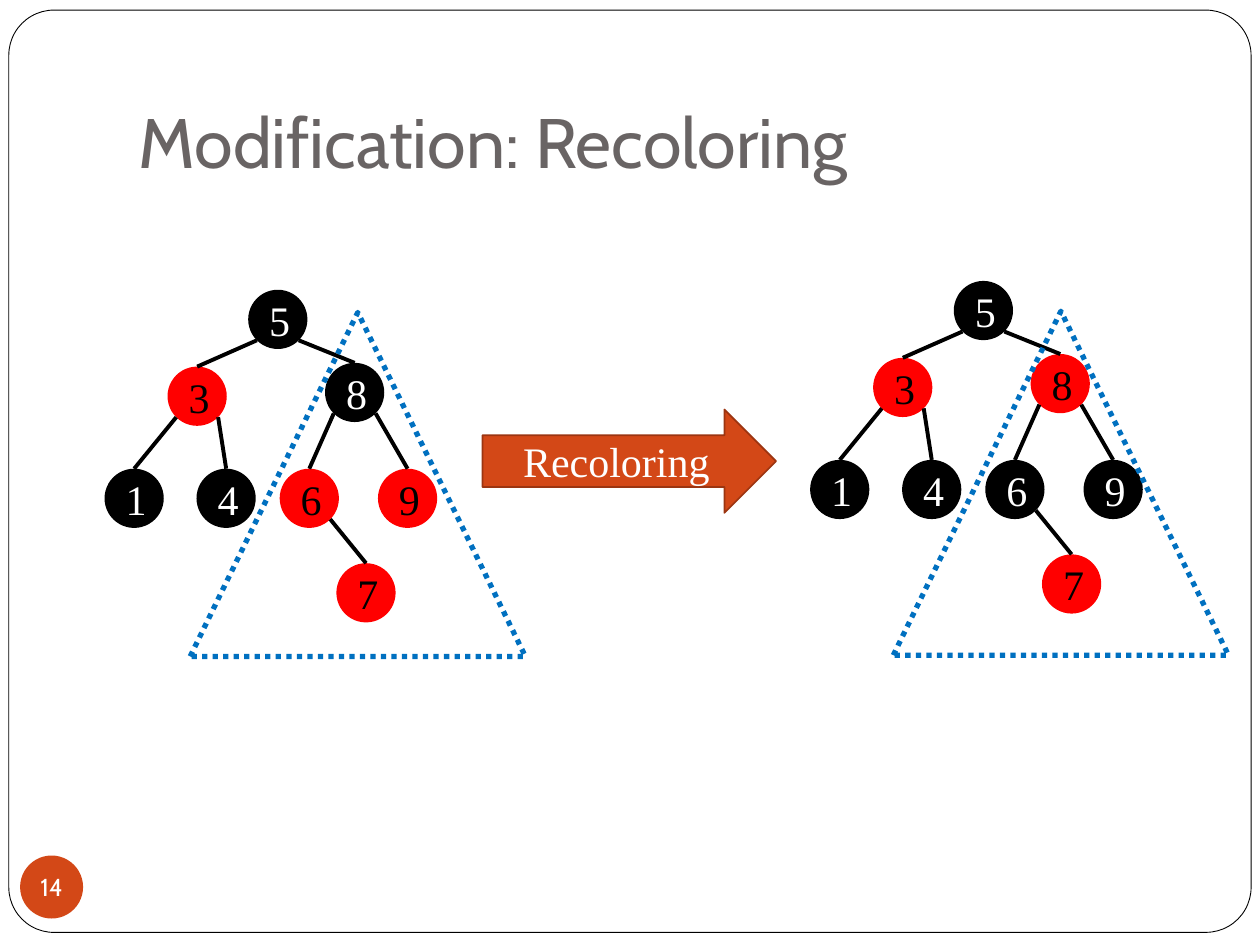
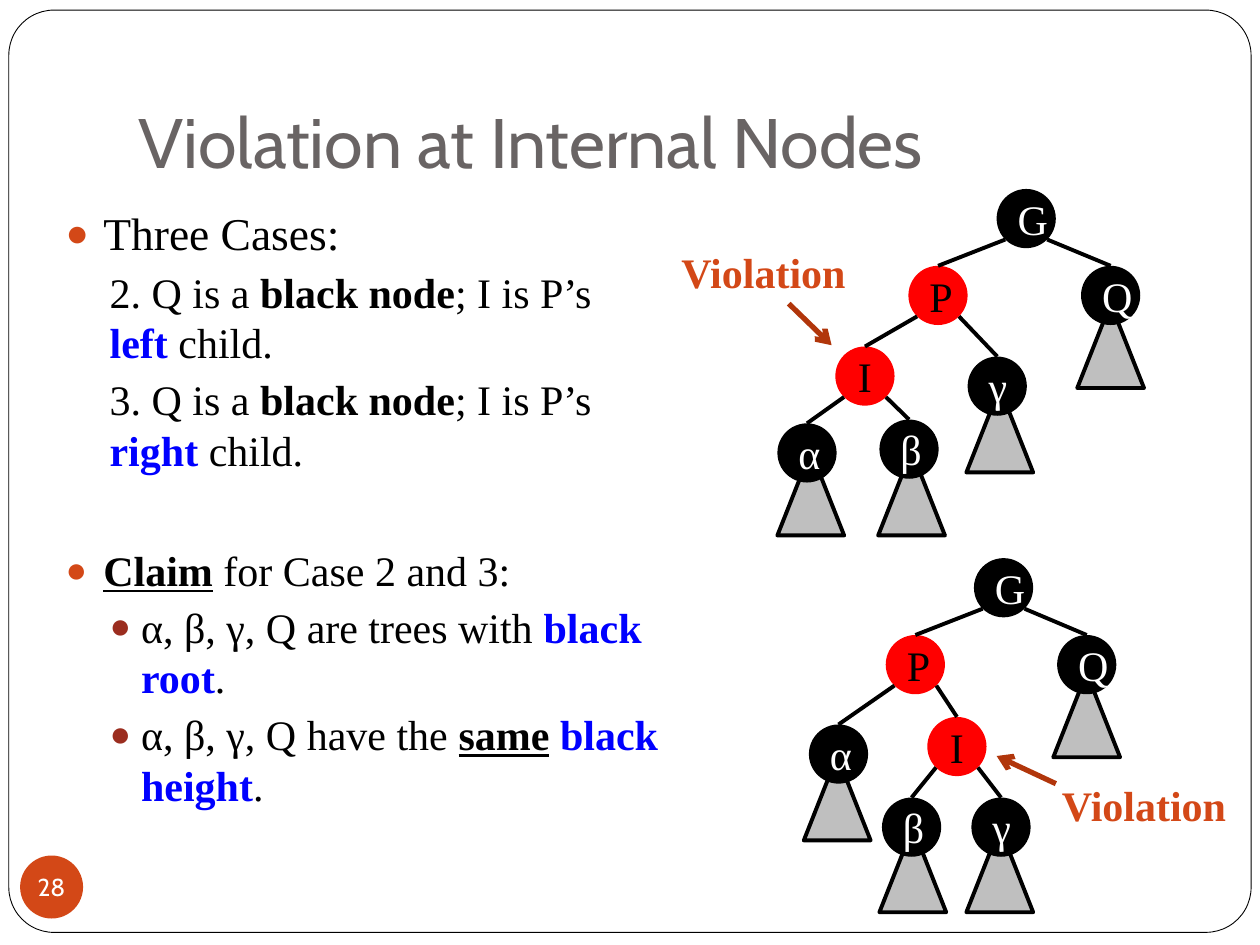
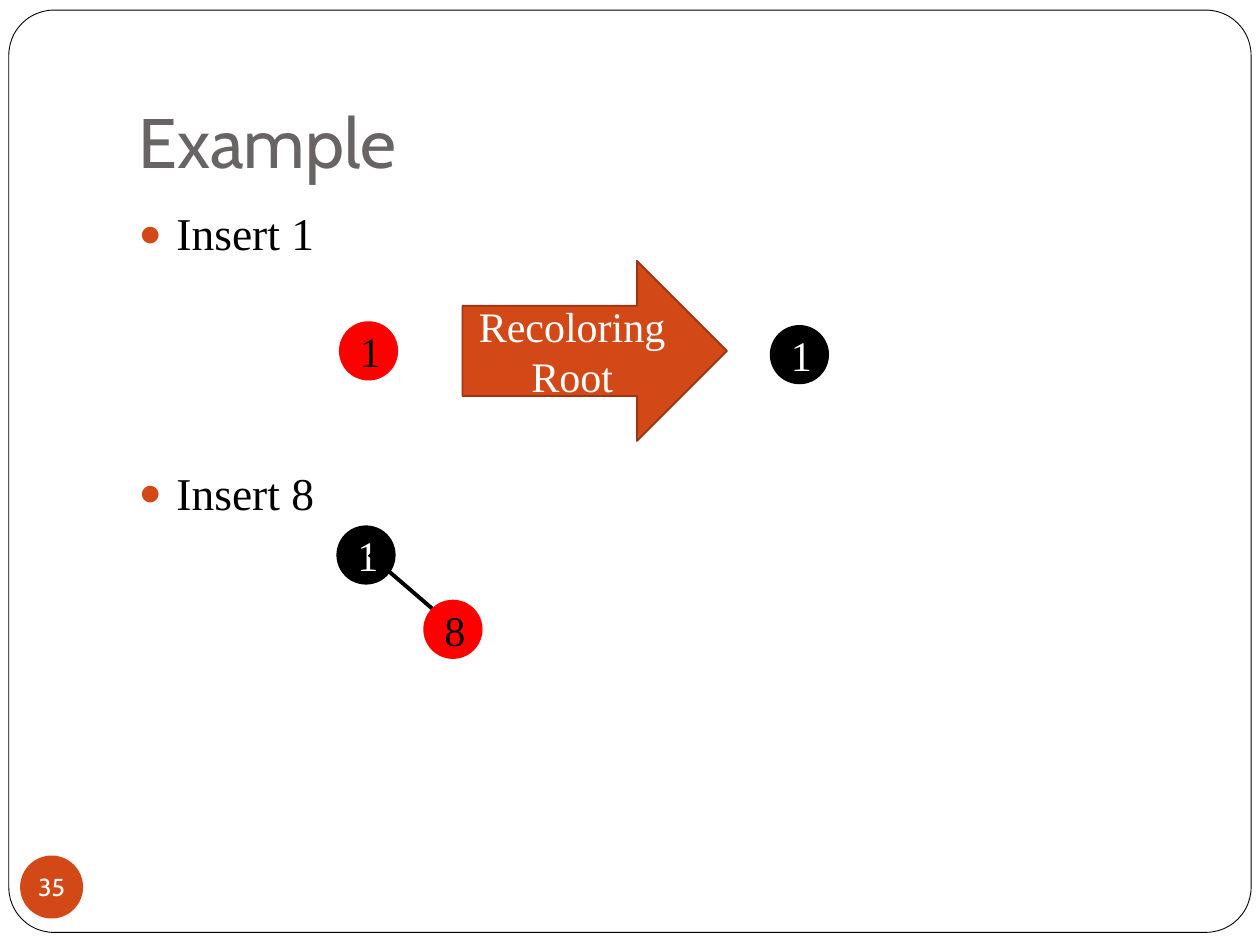
from dataclasses import dataclass
from math import sqrt
from typing import NamedTuple, Optional

from lxml import etree
from pptx import Presentation
from pptx.dml.color import RGBColor
from pptx.enum import dml, shapes, text
from pptx.oxml import ns
from pptx.shapes.autoshape import Shape
from pptx.shapes.connector import Connector
from pptx.slide import Slide
from pptx.util import Inches, Pt

# Shared look
BLACK = RGBColor(0x00, 0x00, 0x00)
WHITE = RGBColor(0xFF, 0xFF, 0xFF)
RED = RGBColor(0xFF, 0x00, 0x00)
BLUE = RGBColor(0x00, 0x00, 0xFF)
REGION_BLUE = RGBColor(0x00, 0x70, 0xC0)
GRAY = RGBColor(0xBF, 0xBF, 0xBF)
TITLE_GRAY = RGBColor(0x69, 0x64, 0x64)
ORANGE = RGBColor(0xD3, 0x48, 0x17)
ARROW_EDGE = RGBColor(0x9C, 0x35, 0x11)
POINTER = RGBColor(0xB1, 0x36, 0x0B)
BRICK = RGBColor(0x9B, 0x2D, 0x1F)
HEAD_FONT, BODY_FONT = "Cabin", "Times New Roman"
TITLE_ONLY, TITLE_AND_CONTENT = 5, 1
NODE_SIZE = 0.47
DIAGONAL = NODE_SIZE / 2 / sqrt(2)  # centre to a diagonal point of the circle


class Span(NamedTuple):
    words: str
    color: RGBColor = BLACK
    bold: bool = False
    underline: bool = False


class ItemStyle(NamedTuple):
    level: int
    margin: float
    indent: float
    size: int
    before: float
    bullet: Optional[RGBColor] = None


class Item(NamedTuple):
    style: ItemStyle
    spans: list[Span]
    before: Optional[float] = None


class Box(NamedTuple):
    left: float
    top: float
    width: float
    height: float

    def lengths(self) -> list[int]:
        return [Inches(side) for side in self]


@dataclass(frozen=True)
class Node:
    label: str
    left: float
    top: float
    parent: str = ""
    side: int = 0  # -1 left child, 1 right child
    subtree: Optional[tuple[float, float]] = None  # triangle's offset

    @property
    def center(self) -> tuple[float, float]:
        return self.left + NODE_SIZE / 2, self.top + NODE_SIZE / 2


HEADING = ItemStyle(0, 0.3, -0.3, 26, 5.8, ORANGE)
CASE = ItemStyle(1, 0.35, 0, 24, 3.7)
CLAIM = ItemStyle(1, 0.3, -0.3, 24, 5.8, ORANGE)
POINT = ItemStyle(1, 0.6, -0.25, 24, 3.7, BRICK)


# Basic pieces
def add_run(paragraph, span: Span, size: int, font: str = BODY_FONT) -> None:
    run = paragraph.add_run()
    run.text = span.words
    run.font.name, run.font.size = font, Pt(size)
    run.font.bold, run.font.underline = span.bold, span.underline
    run.font.color.rgb = span.color


def add_figure(slide: Slide, kind: shapes.MSO_SHAPE, box: Box,
               fill: Optional[RGBColor] = None, edge: Optional[RGBColor] = None,
               weight: float = 1) -> Shape:
    figure = slide.shapes.add_shape(kind, *box.lengths())
    figure.shadow.inherit = False
    if fill is None:
        figure.fill.background()
    else:
        figure.fill.solid()
        figure.fill.fore_color.rgb = fill
    if edge is None:
        figure.line.fill.background()
    else:
        figure.line.color.rgb = edge
        figure.line.width = Pt(weight)
    return figure


def add_line(slide: Slide, start: tuple[float, float], end: tuple[float, float],
             color: RGBColor = BLACK, weight: float = 2.25) -> Connector:
    line = slide.shapes.add_connector(
        shapes.MSO_CONNECTOR.STRAIGHT, *(Inches(n) for n in (*start, *end)))
    line.line.color.rgb = color
    line.line.width = Pt(weight)
    etree.SubElement(line._element.spPr, ns.qn("a:effectLst"))
    return line


# Slide furniture
def add_frame(deck, slide: Slide) -> None:
    """Place the rounded border on the master, behind everything."""
    frame = add_figure(slide, shapes.MSO_SHAPE.ROUNDED_RECTANGLE,
                       Box(0.07, 0.08, 9.86, 7.32), WHITE, BLACK, 0.5)
    frame.adjustments[0] = 0.049
    deck.slide_master.shapes._spTree.insert(2, frame._element)


def add_slide(deck, layout: int, heading: str, number: int) -> Slide:
    slide = deck.slides.add_slide(deck.slide_layouts[layout])
    title = slide.shapes.title
    title.left, title.top, title.width, title.height = Box(1, 0.3, 8.5, 1.25).lengths()
    frame = title.text_frame
    frame.auto_size = text.MSO_AUTO_SIZE.NONE
    frame.vertical_anchor = text.MSO_ANCHOR.BOTTOM
    frame.margin_bottom = Inches(0.1)
    frame.paragraphs[0].alignment = text.PP_ALIGN.LEFT
    add_run(frame.paragraphs[0], Span(heading, TITLE_GRAY), 40, HEAD_FONT)

    badge = add_figure(slide, shapes.MSO_SHAPE.OVAL, Box(0.16, 6.79, 0.5, 0.5), ORANGE)
    frame = badge.text_frame
    frame.margin_left = frame.margin_right = frame.margin_top = frame.margin_bottom = 0
    frame.word_wrap = False
    add_run(frame.paragraphs[0], Span(str(number), WHITE), 14, HEAD_FONT)
    return slide


def set_bullet(paragraph, style: ItemStyle) -> None:
    props = paragraph._p.get_or_add_pPr()
    props.set("marL", str(Inches(style.margin)))
    props.set("indent", str(Inches(style.indent)))
    if style.bullet is None:
        etree.SubElement(props, ns.qn("a:buNone"))
        return
    color = etree.SubElement(props, ns.qn("a:buClr"))
    etree.SubElement(color, ns.qn("a:srgbClr"), val=str(style.bullet))
    etree.SubElement(props, ns.qn("a:buSzPct"), val="85000")
    etree.SubElement(props, ns.qn("a:buChar"), char="●")


def fill_body(slide: Slide, box: Box, items: list[Item]) -> None:
    body = slide.placeholders[1]
    body.left, body.top, body.width, body.height = box.lengths()
    frame = body.text_frame
    frame.auto_size = text.MSO_AUTO_SIZE.NONE
    for index, item in enumerate(items):
        paragraph = frame.add_paragraph() if index else frame.paragraphs[0]
        paragraph.level = item.style.level
        paragraph.space_before = Pt(item.before or item.style.before)
        set_bullet(paragraph, item.style)
        for span in item.spans:
            add_run(paragraph, span, item.style.size)


# Tree parts
def add_node(slide: Slide, node: Node, red: bool = False) -> Shape:
    if node.subtree:
        dx, dy = node.subtree
        add_figure(slide, shapes.MSO_SHAPE.ISOSCELES_TRIANGLE,
                   Box(node.left + dx, node.top + dy, 0.53, 0.67), GRAY, BLACK, 2.25)
    circle = add_figure(slide, shapes.MSO_SHAPE.OVAL,
                        Box(node.left, node.top, NODE_SIZE, NODE_SIZE),
                        RED if red else BLACK)
    add_run(circle.text_frame.paragraphs[0],
            Span(node.label, BLACK if red else WHITE), 24)
    return circle


def add_tree(slide: Slide, nodes: list[Node], reds: str,
             dx: float = 0, dy: float = 0) -> None:
    placed: dict[str, Node] = {}
    for base in nodes:
        node = Node(base.label, base.left + dx, base.top + dy,
                    base.parent, base.side, base.subtree)
        placed[node.label] = node
        circle = add_node(slide, node, node.label in reds)
        if node.parent:
            x, y = placed[node.parent].center
            edge = add_line(slide, (x + node.side * DIAGONAL, y + DIAGONAL),
                            (node.center[0], node.top))
            edge.end_connect(circle, 0)


def add_region(slide: Slide, left: float, top: float) -> None:
    region = add_figure(slide, shapes.MSO_SHAPE.ISOSCELES_TRIANGLE,
                        Box(left, top, 2.66, 2.73), None, REGION_BLUE, 3)
    region.line.dash_style = dml.MSO_LINE.ROUND_DOT


def add_step(slide: Slide, box: Box, lines: list[str]) -> None:
    step = add_figure(slide, shapes.MSO_SHAPE.RIGHT_ARROW, box, ORANGE, ARROW_EDGE)
    paragraph = step.text_frame.paragraphs[0]
    for index, words in enumerate(lines):
        if index:
            paragraph.add_line_break()
        add_run(paragraph, Span(words, WHITE), 24)


def add_violation(slide: Slide, left: float, top: float,
                  start: tuple[float, float], end: tuple[float, float]) -> None:
    pointer = add_line(slide, start, end, POINTER, 3)
    etree.SubElement(pointer.line._get_or_add_ln(), ns.qn("a:tailEnd"), type="arrow")
    caption = slide.shapes.add_textbox(*Box(left, top, 1.52, 0.5).lengths())
    caption.text_frame.word_wrap = False
    caption.text_frame.auto_size = text.MSO_AUTO_SIZE.SHAPE_TO_FIT_TEXT
    add_run(caption.text_frame.paragraphs[0], Span("Violation", ORANGE, bold=True), 24)


# Content
NUMBER_TREE = [
    Node("5", 1.97, 2.3),
    Node("3", 1.33, 2.91, "5", -1),
    Node("8", 2.58, 2.88, "5", 1),
    Node("4", 1.56, 3.72, "3", 1),
    Node("1", 0.83, 3.72, "3", -1),
    Node("9", 3, 3.72, "8", 1),
    Node("6", 2.22, 3.72, "8", -1),
    Node("7", 2.67, 4.47, "6", 1),
]
LEFT_CHILD_TREE = [
    Node("G", 7.91, 1.5),
    Node("Q", 8.58, 2.11, "G", 1, (-0.03, 0.3)),
    Node("P", 7.21, 2.11, "G", -1),
    Node("I", 6.63, 2.75, "P", -1),
    Node("α", 6.17, 3.36, "I", -1, (0, 0.22)),
    Node("β", 6.98, 3.33, "I", 1, (-0.01, 0.25)),
    Node("γ", 7.68, 2.83, "P", 1, (-0.01, 0.25)),
]
RIGHT_CHILD_TREE = [
    Node("G", 7.73, 4.43),
    Node("Q", 8.39, 5.04, "G", 1, (-0.03, 0.3)),
    Node("P", 7.03, 5.04, "G", -1),
    Node("I", 7.36, 5.69, "P", 1),
    Node("β", 7, 6.33, "I", -1, (-0.02, 0.24)),
    Node("γ", 7.71, 6.33, "I", 1, (-0.04, 0.24)),
    Node("α", 6.42, 5.75, "P", -1, (-0.04, 0.25)),
]


def case(number: int, side: str) -> Item:
    return Item(CASE, [Span(f"{number}. Q is a "), Span("black node", bold=True),
                       Span("; I is P’s "), Span(f"{side} ", BLUE, True),
                       Span("child.")])


def build_recoloring(deck) -> None:
    slide = add_slide(deck, TITLE_ONLY, "Modification: Recoloring", 14)
    add_frame(deck, slide)
    add_step(slide, Box(3.83, 3.25, 2.33, 0.82), ["Recoloring"])
    add_tree(slide, NUMBER_TREE, reds="3697")
    add_region(slide, 1.51, 2.48)
    add_tree(slide, NUMBER_TREE, reds="387", dx=5.6, dy=-0.07)
    add_region(slide, 7.09, 2.47)


def build_violation(deck) -> None:
    slide = add_slide(deck, TITLE_AND_CONTENT, "Violation at Internal Nodes", 28)
    fill_body(slide, Box(0.42, 1.58, 4.92, 5), [
        Item(HEADING, [Span("Three Cases:")]),
        case(2, "left"),
        case(3, "right"),
        Item(CLAIM, [Span("Claim", bold=True, underline=True),
                     Span(" for Case 2 and 3:")], before=40),
        Item(POINT, [Span("α, β, γ, Q are trees with "),
                     Span("black root", BLUE, True), Span(".")]),
        Item(POINT, [Span("α, β, γ, Q have the "),
                     Span("same", bold=True, underline=True), Span(" "),
                     Span("black height", BLUE, True), Span(".")]),
    ])
    add_tree(slide, LEFT_CHILD_TREE, reds="PI")
    add_violation(slide, 5.31, 1.91, (6.26, 2.41), (6.6, 2.74))
    add_tree(slide, RIGHT_CHILD_TREE, reds="PI")
    add_violation(slide, 8.33, 6.14, (8.38, 6.22), (7.91, 6))


def build_example(deck) -> None:
    slide = add_slide(deck, TITLE_AND_CONTENT, "Example", 35)
    fill_body(slide, Box(1, 1.58, 8.5, 5), [
        Item(HEADING, [Span("Insert 1")]),
        Item(HEADING, [Span("Insert 8")], before=117),
    ])
    add_node(slide, Node("1", 2.69, 2.55), red=True)
    add_node(slide, Node("1", 6.11, 2.58))
    add_step(slide, Box(3.67, 2.07, 2.1, 1.43), ["Recoloring", "Root"])
    add_node(slide, Node("1", 2.67, 4.17))
    add_line(slide, (2.93, 4.4), (3.43, 4.83))
    add_node(slide, Node("8", 3.36, 4.76), red=True)


def main() -> None:
    deck = Presentation()
    deck.slide_width, deck.slide_height = Inches(10), Inches(7.5)
    build_recoloring(deck)
    build_violation(deck)
    build_example(deck)
    deck.save("out.pptx")


if __name__ == "__main__":
    main()
